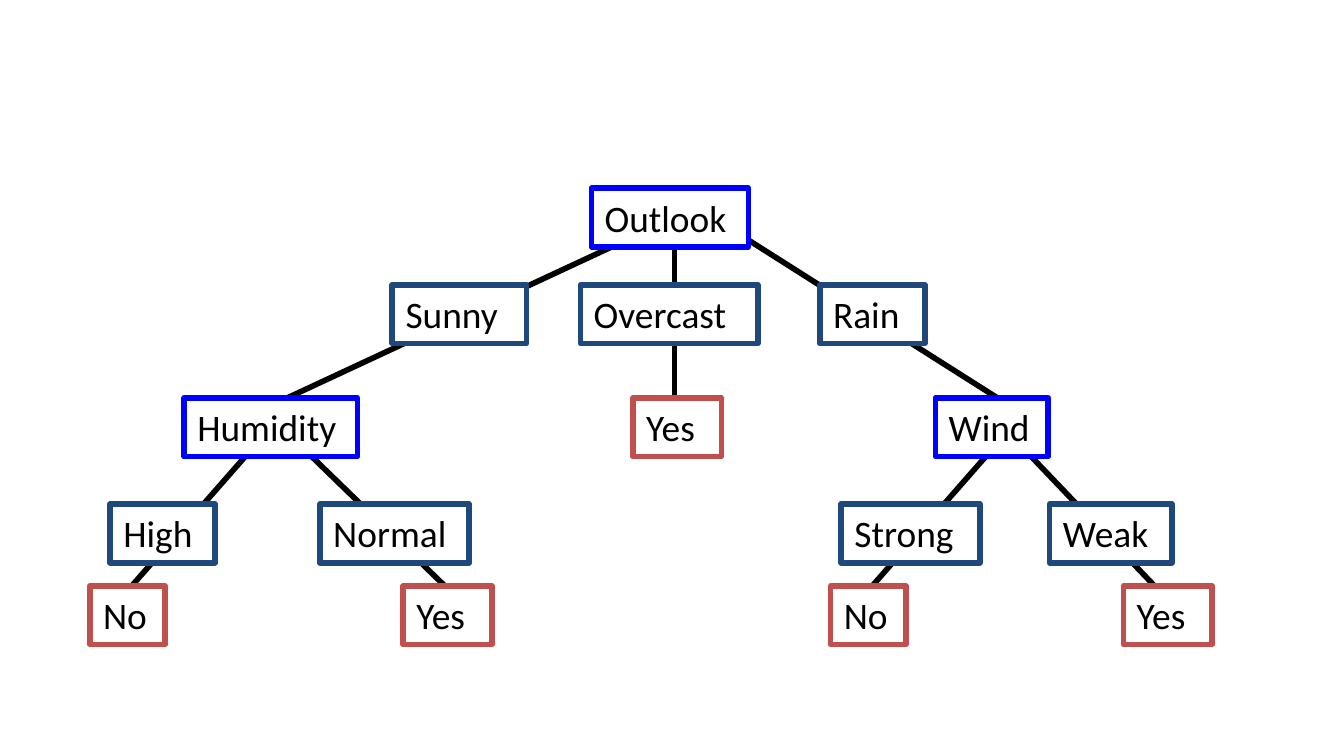
from lxml.etree import SubElement
from pptx import Presentation
from pptx.dml.color import RGBColor
from pptx.enum.shapes import MSO_CONNECTOR, MSO_SHAPE
from pptx.enum.text import MSO_ANCHOR, MSO_AUTO_SIZE, PP_ALIGN
from pptx.oxml.ns import qn
from pptx.util import Pt

BLACK = RGBColor(0x00, 0x00, 0x00)
WHITE = RGBColor(0xFF, 0xFF, 0xFF)
ATTRIBUTE_BLUE = RGBColor(0x00, 0x00, 0xFF)
VALUE_NAVY = RGBColor(0x1F, 0x49, 0x7D)
DECISION_RED = RGBColor(0xC0, 0x50, 0x4D)

STROKE = 3
NODE_HEIGHT = 31.5

# Tops of the tree levels
ROOT, OUTLOOK_VALUES, TESTS, TEST_VALUES, DECISIONS = 100.8, 152.6, 213.1, 270, 313.9
BELOW_ROOT, BELOW_TESTS = 124.6, 237.6

# Start x, start y, end x, end y
BRANCHES = [
    (344.2, BELOW_ROOT, 154.1, TESTS),
    (394.6, BELOW_ROOT, 534.2, TESTS),
    (137.5, BELOW_TESTS, 70.6, DECISIONS),
    (159.8, BELOW_TESTS, 238.3, DECISIONS),
    (545.8, BELOW_TESTS, 618.5, DECISIONS),
    (534.2, BELOW_TESTS, 467.3, DECISIONS),
    (361.4, 128.9, 361.4, TESTS),
]

# Label, left, top, width, outline
NODES = [
    ("Outlook", 316.8, ROOT, 84.2, ATTRIBUTE_BLUE),
    ("Sunny", 210.2, OUTLOOK_VALUES, 72, VALUE_NAVY),
    ("Overcast", 311, OUTLOOK_VALUES, 95, VALUE_NAVY),
    ("Rain", 439.2, OUTLOOK_VALUES, 56.2, VALUE_NAVY),
    ("Humidity", 98.6, TESTS, 92.9, ATTRIBUTE_BLUE),
    ("High", 59, TEST_VALUES, 56.2, VALUE_NAVY),
    ("Normal", 171.4, TEST_VALUES, 79.9, VALUE_NAVY),
    ("Wind", 501.1, TESTS, 60.5, ATTRIBUTE_BLUE),
    ("Strong", 450.7, TEST_VALUES, 74.2, VALUE_NAVY),
    ("Weak", 562.3, TEST_VALUES, 65.5, VALUE_NAVY),
    ("No", 48.2, DECISIONS, 40.3, DECISION_RED),
    ("Yes", 216, DECISIONS, 47.5, DECISION_RED),
    ("Yes", 339.1, TESTS, 47.5, DECISION_RED),
    ("Yes", 601.9, DECISIONS, 47.5, DECISION_RED),
    ("No", 445, DECISIONS, 40.3, DECISION_RED),
]


def add_branch(tree, *ends):
    branch = tree.shapes.add_connector(MSO_CONNECTOR.STRAIGHT, *map(Pt, ends))
    branch.line.color.rgb = BLACK
    branch.line.width = Pt(STROKE)
    SubElement(branch._element.spPr, qn("a:effectLst"))


def add_node(tree, label, left, top, width, outline):
    node = tree.shapes.add_shape(
        MSO_SHAPE.RECTANGLE, Pt(left), Pt(top), Pt(width), Pt(NODE_HEIGHT))
    node.shadow.inherit = False
    node.fill.solid()
    node.fill.fore_color.rgb = WHITE
    node.line.color.rgb = outline
    node.line.width = Pt(STROKE)

    frame = node.text_frame
    frame.word_wrap = False
    frame.auto_size = MSO_AUTO_SIZE.SHAPE_TO_FIT_TEXT
    frame.vertical_anchor = MSO_ANCHOR.TOP
    paragraph = frame.paragraphs[0]
    paragraph.text = label
    paragraph.alignment = PP_ALIGN.LEFT
    paragraph.font.name = "Calibri"
    paragraph.font.size = Pt(20)
    paragraph.font.color.rgb = BLACK


def main():
    deck = Presentation()
    deck.slide_width, deck.slide_height = Pt(720), Pt(405)
    slide = deck.slides.add_slide(deck.slide_layouts[6])
    tree = slide.shapes.add_group_shape()
    for branch in BRANCHES:
        add_branch(tree, *branch)
    for node in NODES:
        add_node(tree, *node)
    deck.save("out.pptx")


if __name__ == "__main__":
    main()
